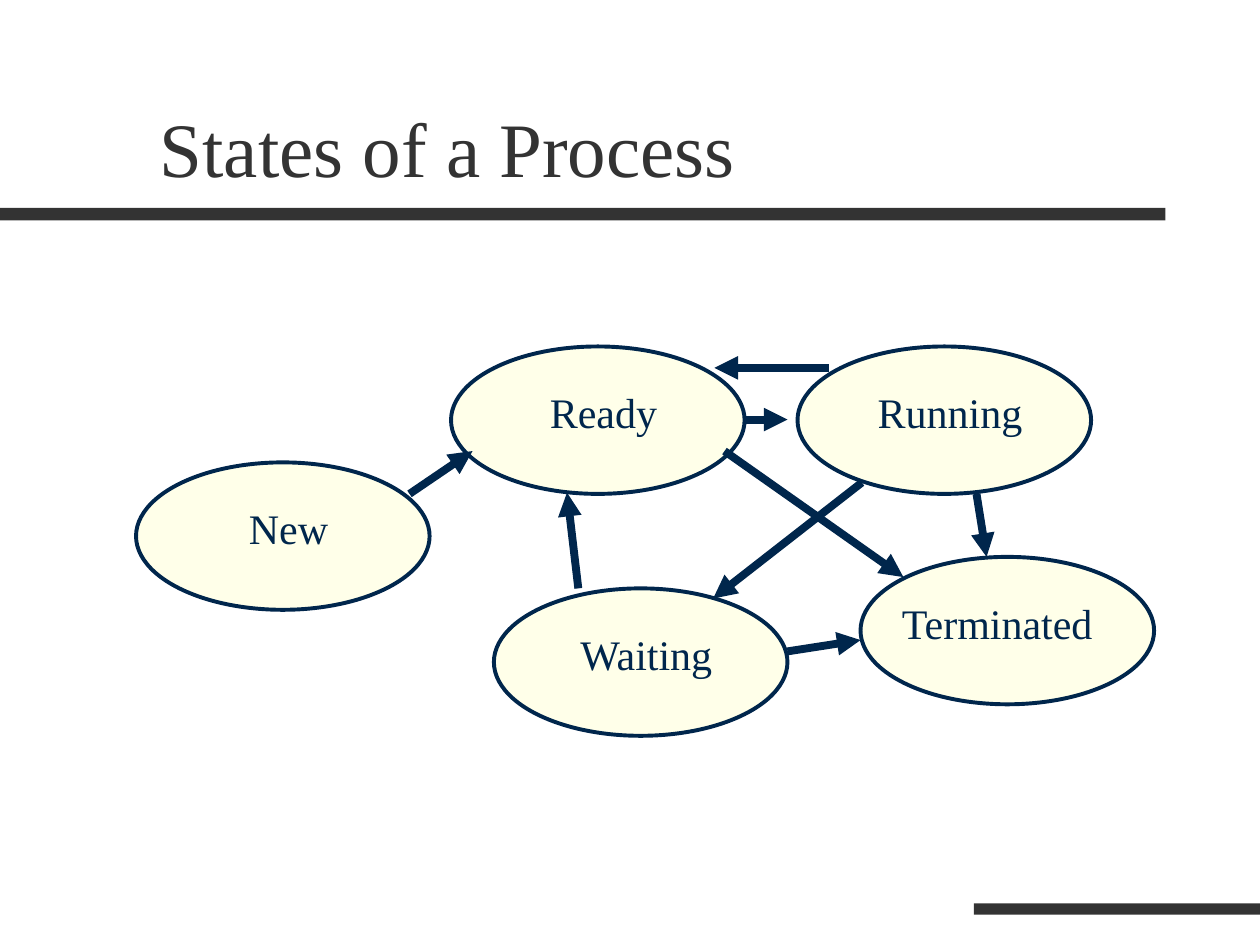
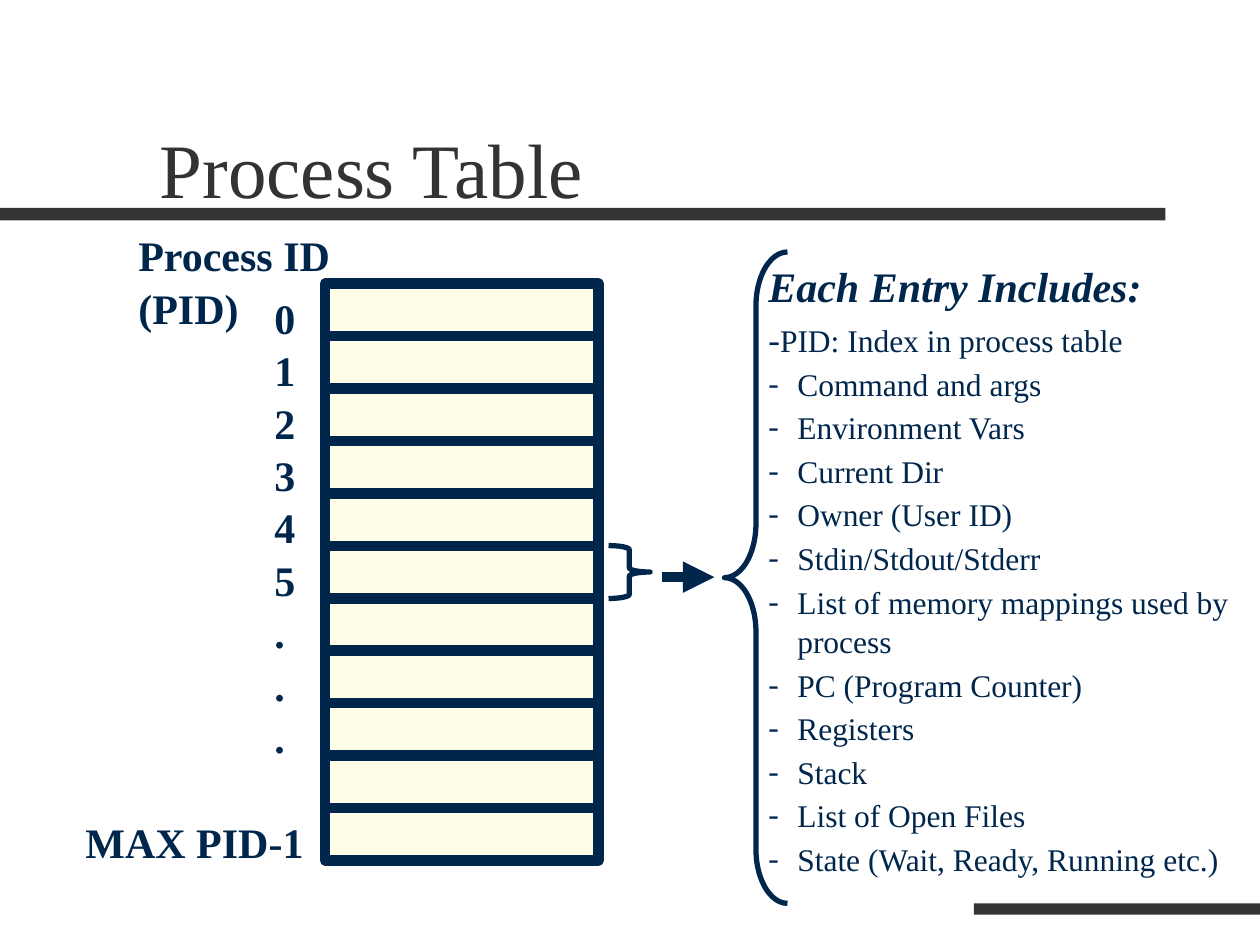
import pptx
import pptx.dml.color
import pptx.enum.shapes
import pptx.enum.text
import pptx.oxml
import pptx.oxml.ns
import pptx.util
from pptx.util import Inches

NAVY = pptx.dml.color.RGBColor(0x00, 0x26, 0x4C)
CREAM = pptx.dml.color.RGBColor(0xFF, 0xFF, 0xE9)
CHARCOAL = pptx.dml.color.RGBColor(0x33, 0x33, 0x33)
FONT = "Times New Roman"
SHAPES = pptx.enum.shapes.MSO_SHAPE
ANCHOR = pptx.enum.text.MSO_ANCHOR
CENTER = pptx.enum.text.PP_ALIGN.CENTER


def add_xml(parent, tag, **attributes):
    """Append an empty DrawingML element to the parent."""
    element = pptx.oxml.parse_xml(f"<a:{tag} {pptx.oxml.ns.nsdecls('a')}/>")
    for name, value in attributes.items():
        element.set(name, value)
    parent.append(element)
    return element


class Deck:
    """Holds the shared style and the current slide."""

    def __init__(self):
        self.presentation = pptx.Presentation()
        self.presentation.slide_width = Inches(10)
        self.presentation.slide_height = Inches(7.5)
        self.slide = None

    def start_slide(self, title, title_top):
        layout = self.presentation.slide_layouts[6]
        self.slide = self.presentation.slides.add_slide(layout)
        # Title rule and footer band
        self.shape(SHAPES.RECTANGLE, 0, 1.65, 9.25, 0.1, fill=CHARCOAL)
        self.shape(SHAPES.RECTANGLE, 7.73, 7.17, 2.27, 0.09, fill=CHARCOAL)
        frame = self.frame(1.17, title_top, 8.5, 1.25,
                           vertical_anchor=ANCHOR.BOTTOM)
        self.run(frame.paragraphs[0], title, size=44, color=CHARCOAL)

    def shape(self, kind, left, top, width, height, fill=None, line_width=0,
              adjustments=()):
        shape = self.slide.shapes.add_shape(
            kind, Inches(left), Inches(top), Inches(width), Inches(height))
        shape.shadow.inherit = False
        if fill is None:
            shape.fill.background()
        else:
            shape.fill.solid()
            shape.fill.fore_color.rgb = fill
        if line_width:
            shape.line.color.rgb = NAVY
            shape.line.width = pptx.util.Pt(line_width)
        else:
            shape.line.fill.background()
        for index, value in enumerate(adjustments):
            shape.adjustments[index] = value

    def frame(self, left, top, width, height, **settings):
        box = self.slide.shapes.add_textbox(
            Inches(left), Inches(top), Inches(width), Inches(height))
        for name, value in {"word_wrap": True, **settings}.items():
            setattr(box.text_frame, name, value)
        return box.text_frame

    def run(self, paragraph, text, size=24, color=NAVY, **settings):
        run = paragraph.add_run()
        run.text = text
        run.font.color.rgb = color
        values = {"name": FONT, "size": pptx.util.Pt(size), **settings}
        for name, value in values.items():
            setattr(run.font, name, value)

    def format(self, paragraph, space_before, **settings):
        values = {"space_before": pptx.util.Pt(space_before),
                  "line_spacing": 1.05, **settings}
        for name, value in values.items():
            setattr(paragraph, name, value)

    def label(self, text, left, top, width, height=0.5, alignment=None,
              **font):
        frame = self.frame(left, top, width, height)
        self.format(frame.paragraphs[0], 15, alignment=alignment)
        self.run(frame.paragraphs[0], text, **font)

    def dash_bullet(self, paragraph):
        properties = paragraph._p.get_or_add_pPr()
        indent = Inches(0.23)
        properties.set("marL", str(indent))
        properties.set("indent", str(-indent))
        color = add_xml(properties, "buClr")
        add_xml(color, "srgbClr", val=str(NAVY))
        add_xml(properties, "buFont", typeface=FONT)
        add_xml(properties, "buChar", char="-")

    def line(self, start, end, width, arrow=False):
        connector = self.slide.shapes.add_connector(
            pptx.enum.shapes.MSO_CONNECTOR.STRAIGHT,
            *(Inches(value) for value in (*start, *end)))
        connector.line.color.rgb = NAVY
        connector.line.width = pptx.util.Pt(width)
        if arrow:
            add_xml(connector.line._get_or_add_ln(), "tailEnd",
                    type="triangle")
        add_xml(connector._element.spPr, "effectLst")


def build_states(deck):
    deck.start_slide("States of a Process", 0.33)

    # States: name, left and top of the ellipse, label offset and width
    states = [
        ("New", 1.08, 3.67, 0.42, 1.58),
        ("Ready", 3.58, 2.75, 0.42, 1.58),
        ("Running", 6.33, 2.75, 0.42, 1.58),
        ("Waiting", 3.92, 4.67, 0.42, 1.58),
        ("Terminated", 6.83, 4.42, 0.17, 1.83),
    ]
    for name, left, top, offset, width in states:
        deck.shape(SHAPES.OVAL, left, top, 2.33, 1.17, CREAM, 2.25)
        deck.label(name, left + offset, top + 0.25, width, alignment=CENTER)

    # Transitions between states
    transitions = [
        ((3.25, 3.92), (3.75, 3.58)),  # New to Ready
        ((5.92, 3.33), (6.25, 3.33)),  # Ready to Running
        ((6.84, 3.83), (5.66, 4.75)),  # Running to Waiting
        ((7.75, 3.92), (7.83, 4.42)),  # Running to Terminated
        ((4.59, 4.67), (4.5, 3.91)),   # Waiting to Ready
        ((6.25, 5.17), (6.83, 5.08)),  # Waiting to Terminated
        ((5.75, 3.58), (7.17, 4.58)),  # Ready to Terminated
        ((6.58, 2.92), (5.67, 2.92)),  # Running to Ready
    ]
    for start, end in transitions:
        deck.line(start, end, 4.5, arrow=True)


def build_process_table(deck):
    deck.start_slide("Process Table", 0.5)

    # Table of process slots
    left, top, width, height, rows = 2.58, 2.25, 2.17, 4.58, 11
    row_height = height / rows
    deck.shape(SHAPES.RECTANGLE, left, top, width, height, CREAM, 6)
    for row in range(1, rows):
        y = top + row * row_height
        deck.line((left, y), (left + width, y), 6)

    # Process IDs beside the rows
    deck.label("Process ID (PID)", 1, 1.75, 2.5, 0.9, bold=True)
    for row, text in enumerate("012345..."):
        deck.label(text, 2.08, top + row * row_height, 0.5, bold=True)
    deck.label("MAX PID-1", 0.58, top + (rows - 1) * row_height, 2.17,
               bold=True)

    # Braces and arrow from one row to its contents
    deck.line((5.25, 4.58), (5.67, 4.58), 6, arrow=True)
    deck.shape(SHAPES.LEFT_BRACE, 5.75, 2, 0.5, 5.17, line_width=3,
               adjustments=(0.86, 0.5))
    deck.shape(SHAPES.RIGHT_BRACE, 4.83, 4.33, 0.33, 0.42, line_width=3,
               adjustments=(0.1, 0.5))

    # Contents of an entry
    frame = deck.frame(6, 2, 4, 4.81)
    heading = frame.paragraphs[0]
    deck.format(heading, 3)
    deck.run(heading, "Each Entry Includes:", bold=True, italic=True)
    index_entry = frame.add_paragraph()
    deck.format(index_entry, 2.2)
    deck.run(index_entry, "-", size=20)
    deck.run(index_entry, "PID: Index in process table", size=18)
    fields = [
        "Command and args", "Environment Vars", "Current Dir",
        "Owner (User ID)", "Stdin/Stdout/Stderr",
        "List of memory mappings used by process",
        "PC (Program Counter)", "Registers", "Stack",
        "List of Open Files", "State (Wait, Ready, Running etc.)",
    ]
    for field in fields:
        paragraph = frame.add_paragraph()
        deck.format(paragraph, 2.2)
        deck.dash_bullet(paragraph)
        deck.run(paragraph, field, size=18)


def main():
    deck = Deck()
    build_states(deck)
    build_process_table(deck)
    deck.presentation.save("out.pptx")


if __name__ == "__main__":
    main()
